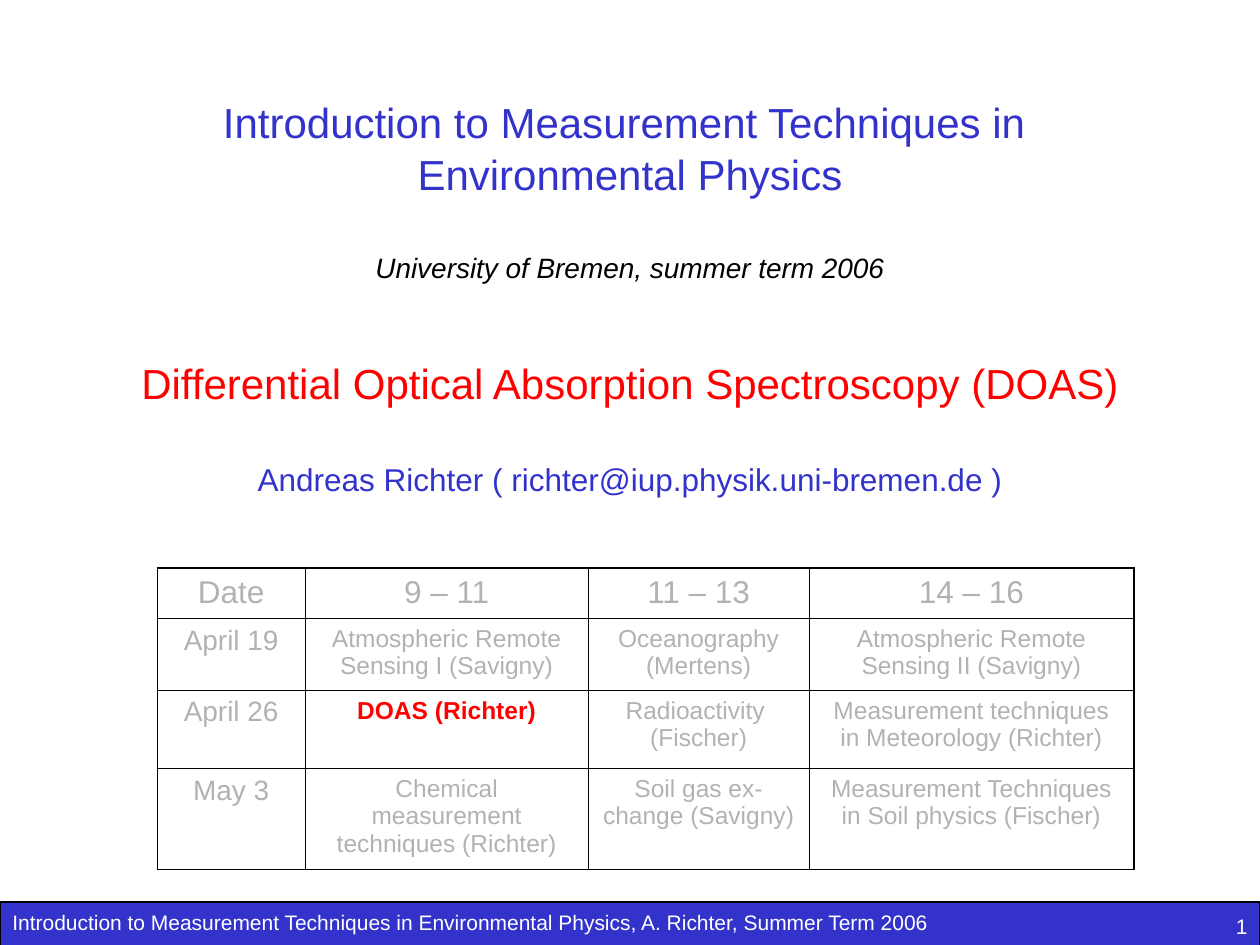
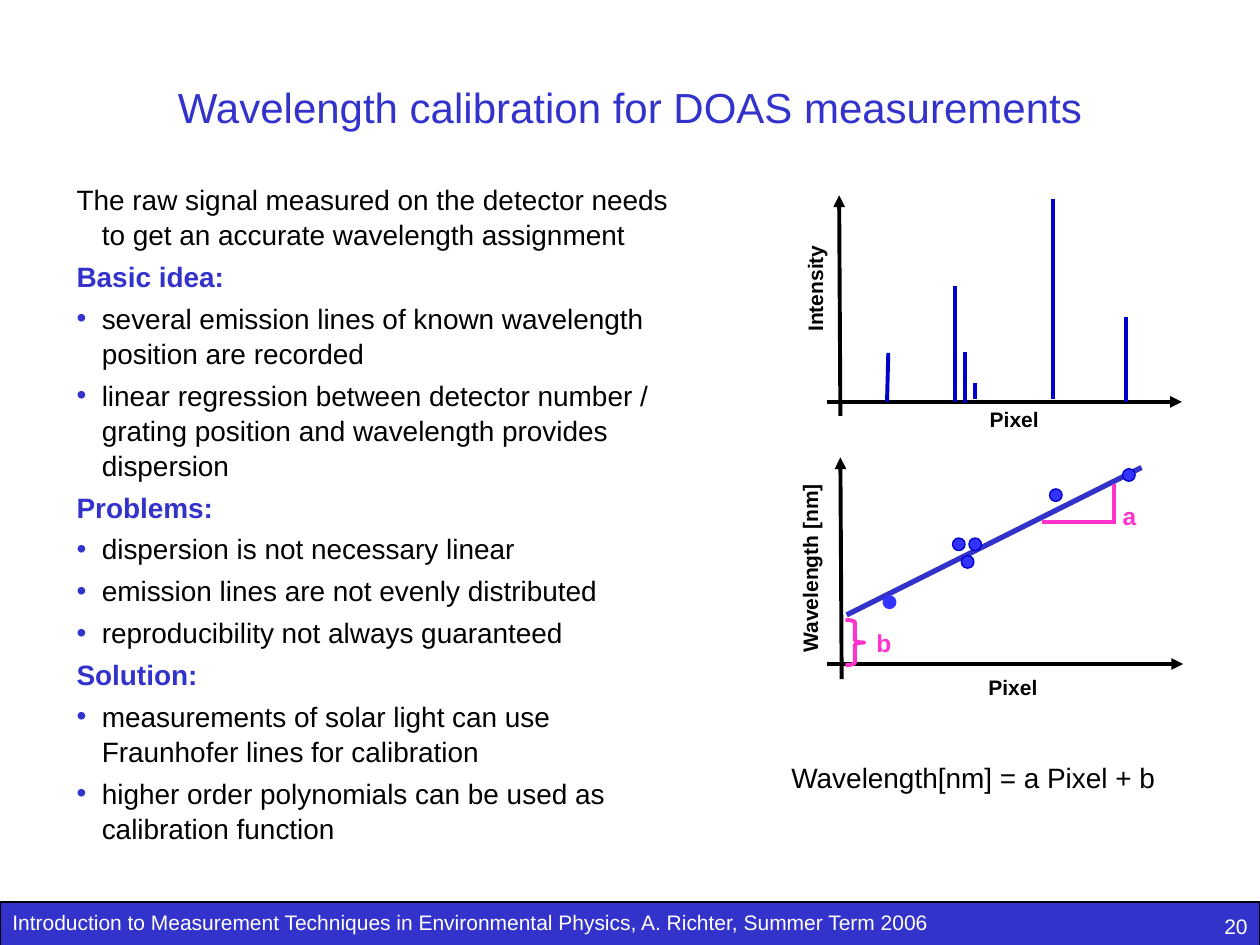
"""Build two lecture slides on differential optical absorption spectroscopy."""
from lxml import etree
from pptx import Presentation
from pptx.dml.color import RGBColor
from pptx.enum.shapes import MSO_CONNECTOR as Link, MSO_SHAPE as Shape
from pptx.enum.text import MSO_ANCHOR as Anchor, PP_ALIGN as Align
from pptx.oxml import parse_xml
from pptx.oxml.ns import nsdecls, qn
from pptx.util import Inches, Pt

FONT = "Arial"
BLUE, RED, GREY, PINK = "3333CC", "FF0000", "B2B2B2", "FF33CC"
BLACK, WHITE, PEAK, DOT = "000000", "FFFFFF", "0000CC", "3333FF"
TITLE = {"size": 24, "color": BLUE, "align": Align.CENTER}
SMALL = {"size": 12, "color": WHITE}
AXIS_LABEL = {"size": 12, "bold": True, "align": Align.CENTER}
SLOPE_LABEL = {"size": 14, "bold": True, "color": PINK, "align": Align.CENTER}
FOOTER = "Introduction to Measurement Techniques in Environmental Physics, A. Richter, Summer Term 2006"
LINE_SPACING = 1.04

COVER = [
    ("Introduction to Measurement Techniques in ", TITLE),
    ("Environmental Physics", TITLE),
    ("University of Bremen, summer term 2006",
     {**TITLE, "size": 16, "color": BLACK, "italic": True, "before": 28.8}),
    ("Differential Optical Absorption Spectroscopy (DOAS)", {**TITLE, "color": RED, "before": 40.8}),
    ("Andreas Richter ( richter@iup.physik.uni-bremen.de )", {**TITLE, "size": 18, "before": 28.8}),
]
SCHEDULE = [
    ["Date", "9 – 11", "11 – 13", "14 – 16"],
    ["April 19", "Atmospheric Remote Sensing I (Savigny)", "Oceanography (Mertens)",
     "Atmospheric Remote Sensing II (Savigny)"],
    ["April 26", "DOAS (Richter)", "Radioactivity \n(Fischer)",
     "Measurement techniques in Meteorology (Richter)"],
    ["May 3", "Chemical measurement techniques (Richter)", "Soil gas ex- change (Savigny)",
     "Measurement Techniques in Soil physics (Fischer)"],
]
TODAY = "DOAS (Richter)"
COLUMN_WIDTHS = [1.17, 2.25, 1.75, 2.58]
ROW_HEIGHTS = [0.4, 0.57, 0.62, 0.8]

INTRO = "The raw signal measured on the detector needs to get an accurate wavelength assignment"
SECTIONS = {
    "Basic idea:": [
        "several emission lines of known wavelength position are recorded",
        "linear regression between detector number / grating position and wavelength provides dispersion",
    ],
    "Problems:": [
        "dispersion is not necessary linear",
        "emission lines are not evenly distributed",
        "reproducibility not always guaranteed",
    ],
    "Solution:": [
        "measurements of solar light can use Fraunhofer lines for calibration",
        "higher order polynomials can be used as calibration function",
    ],
}
AXES = [
    (6.67, 3.3, 6.66, 1.55), (6.56, 3.19, 9.38, 3.19),
    (6.68, 5.39, 6.67, 3.63), (6.56, 5.27, 9.39, 5.27),
]
PEAKS = [
    (7.05, 2.8, 7.04, 3.19), (7.58, 2.27, 7.58, 3.19), (7.66, 2.79, 7.66, 3.2),
    (7.74, 3.04, 7.74, 3.17), (8.36, 1.58, 8.36, 3.17), (8.94, 2.52, 8.94, 3.19),
]
FIT = (6.72, 4.88, 9.06, 3.71)
SLOPE = [(8.27, 4.14, 8.85, 4.14), (8.84, 3.84, 8.84, 4.16)]
DOTS = [(7.01, 4.73), (7.56, 4.27), (7.63, 4.41), (7.69, 4.27), (8.33, 3.88), (8.91, 3.72)]
LABELS = [
    ("Pixel", (7.17, 3.17, 1.76, 0.3), AXIS_LABEL, 0),
    ("Pixel", (7.16, 5.3, 1.76, 0.3), AXIS_LABEL, 0),
    ("Intensity", (5.96, 2.14, 1, 0.3), AXIS_LABEL, 270),
    ("Wavelength [nm]", (5.54, 4.36, 1.76, 0.3), AXIS_LABEL, 270),
    ("a", (8.73, 3.92, 0.47, 0.34), SLOPE_LABEL, 0),
    ("b", (6.78, 4.93, 0.47, 0.34), SLOPE_LABEL, 0),
    ("Wavelength[nm] = a Pixel + b", (5.94, 5.98, 3.57, 0.37), {"size": 16, "align": Align.CENTER}, 0),
]


def rgb(code):
    return RGBColor.from_string(code)


def add_bullet(para):
    props = para._p.get_or_add_pPr()
    color = etree.SubElement(etree.SubElement(props, qn("a:buClr")), qn("a:srgbClr"))
    color.set("val", BLUE)
    etree.SubElement(props, qn("a:buFont")).set("typeface", FONT)
    etree.SubElement(props, qn("a:buChar")).set("char", "•")


def write(frame, lines, spacing=LINE_SPACING):
    frame.word_wrap = True
    frame.vertical_anchor = Anchor.TOP
    for index, (text, style) in enumerate(lines):
        para = frame.paragraphs[0] if index == 0 else frame.add_paragraph()
        para.alignment = style.get("align", Align.LEFT)
        para.line_spacing = spacing
        para.space_before = Pt(style.get("before", 0) if index else 0)
        if style.get("hanging"):
            props = para._p.get_or_add_pPr()
            props.set("marL", str(Inches(0.2)))
            props.set("indent", str(Inches(-0.2)))
        if style.get("bullet"):
            add_bullet(para)
        span = para.add_run()
        span.text = text
        span.font.color.rgb = rgb(style.get("color", BLACK))
        values = {"name": FONT, "size": Pt(style["size"]),
                  "bold": style.get("bold", False), "italic": style.get("italic", False)}
        for name, value in values.items():
            setattr(span.font, name, value)


def add_text(page, place, lines, rotation=0):
    box = page.shapes.add_textbox(*map(Inches, place))
    box.rotation = rotation
    write(box.text_frame, lines)


def add_figure(page, kind, place, fill, line, width=0.75):
    figure = page.shapes.add_shape(kind, *map(Inches, place))
    figure.shadow.inherit = False
    if fill:
        figure.fill.solid()
        figure.fill.fore_color.rgb = rgb(fill)
    else:
        figure.fill.background()
    figure.line.color.rgb = rgb(line)
    figure.line.width = Pt(width)
    return figure


def add_line(page, ends, color, width=2.25, arrow=False):
    line = page.shapes.add_connector(Link.STRAIGHT, *map(Inches, ends))
    line.line.color.rgb = rgb(color)
    line.line.width = Pt(width)
    if arrow:
        etree.SubElement(line.line._get_or_add_ln(), qn("a:tailEnd")).set("type", "triangle")
    etree.SubElement(line._element.spPr, qn("a:effectLst"))


def add_page(deck, number):
    page = deck.slides.add_slide(deck.slide_layouts[6])
    band = add_figure(page, Shape.RECTANGLE, (0, 7.16, 10, 0.4), BLUE, BLACK)
    write(band.text_frame, [(FOOTER, SMALL)])
    add_text(page, (7.92, 7.19, 2.08, 0.31), [(str(number), {**SMALL, "align": Align.RIGHT})])
    return page


def set_borders(cell, outer_sides):
    props = cell._tc.get_or_add_tcPr()
    for index, side in enumerate("LRTB"):
        width = Pt(1.08 if side in outer_sides else 0.45)
        props.insert(index, parse_xml(
            f'<a:ln{side} {nsdecls("a")} w="{width}"><a:solidFill>'
            f'<a:srgbClr val="{BLACK}"/></a:solidFill></a:ln{side}>'))


def add_schedule(page):
    rows, columns = len(ROW_HEIGHTS), len(COLUMN_WIDTHS)
    place = (1.25, 4.51, sum(COLUMN_WIDTHS), sum(ROW_HEIGHTS))
    table = page.shapes.add_table(rows, columns, *map(Inches, place)).table
    table.first_row = table.horz_banding = False
    for column, width in zip(table.columns, COLUMN_WIDTHS):
        column.width = Inches(width)
    for r, height in enumerate(ROW_HEIGHTS):
        table.rows[r].height = Inches(height)
        for c, text in enumerate(SCHEDULE[r]):
            cell = table.cell(r, c)
            today = text == TODAY
            style = {"size": 18 if r == 0 else 16 if c == 0 else 14, "bold": today,
                     "color": RED if today else GREY, "align": Align.CENTER}
            write(cell.text_frame, [(part, style) for part in text.split("\n")], 1.0)
            cell.fill.background()
            edges = {"L": c == 0, "R": c == columns - 1, "T": r == 0, "B": r == rows - 1}
            set_borders(cell, [side for side, outer in edges.items() if outer])


def build_cover(deck):
    page = add_page(deck, 1)
    add_text(page, (0, 0.7, 10, 3.24), COVER)
    add_schedule(page)


def build_calibration(deck):
    page = add_page(deck, 20)
    add_text(page, (0, 0.58, 10, 0.5), [("Wavelength calibration for DOAS measurements", TITLE)])
    plain = {"size": 16, "before": 4, "hanging": True}
    lines = [(INTRO, plain)]
    for heading, points in SECTIONS.items():
        lines.append((heading, {**plain, "bold": True, "color": BLUE}))
        lines += [(point, {**plain, "bullet": True}) for point in points]
    add_text(page, (0.51, 1.39, 5, 5.19), lines)
    for ends in AXES:
        add_line(page, ends, BLACK, arrow=True)
    for ends in PEAKS:
        add_line(page, ends, PEAK)
    add_line(page, FIT, BLUE, 3)
    for index, corner in enumerate(DOTS):
        add_figure(page, Shape.OVAL, (*corner, 0.1, 0.1), DOT, PEAK if index else DOT)
    for ends in SLOPE:
        add_line(page, ends, PINK)
    brace = add_figure(page, Shape.RIGHT_BRACE, (6.71, 4.92, 0.15, 0.36), None, PINK, 2.25)
    brace.adjustments[0] = 0.13
    for text, place, style, rotation in LABELS:
        add_text(page, place, [(text, style)], rotation)


def main():
    deck = Presentation()
    deck.slide_width, deck.slide_height = Inches(10), Inches(7.5)
    build_cover(deck)
    build_calibration(deck)
    deck.save("out.pptx")


if __name__ == "__main__":
    main()
